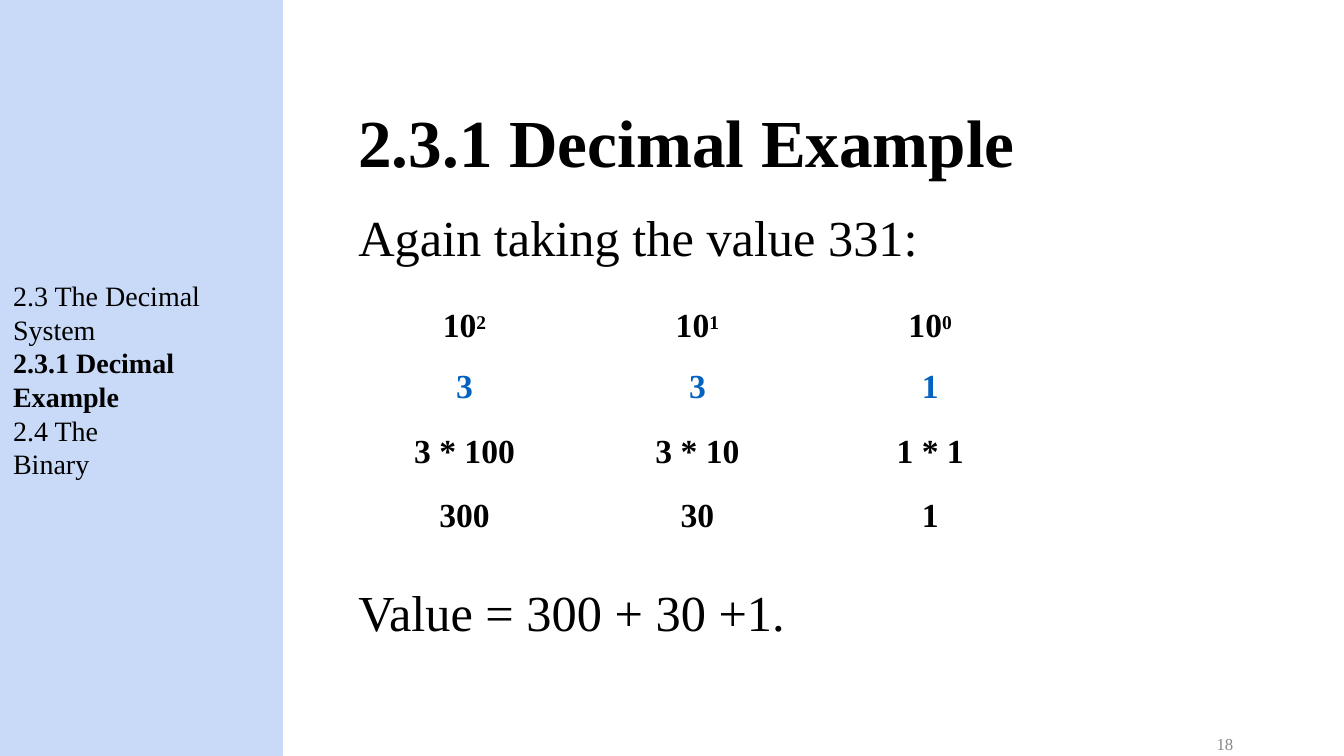
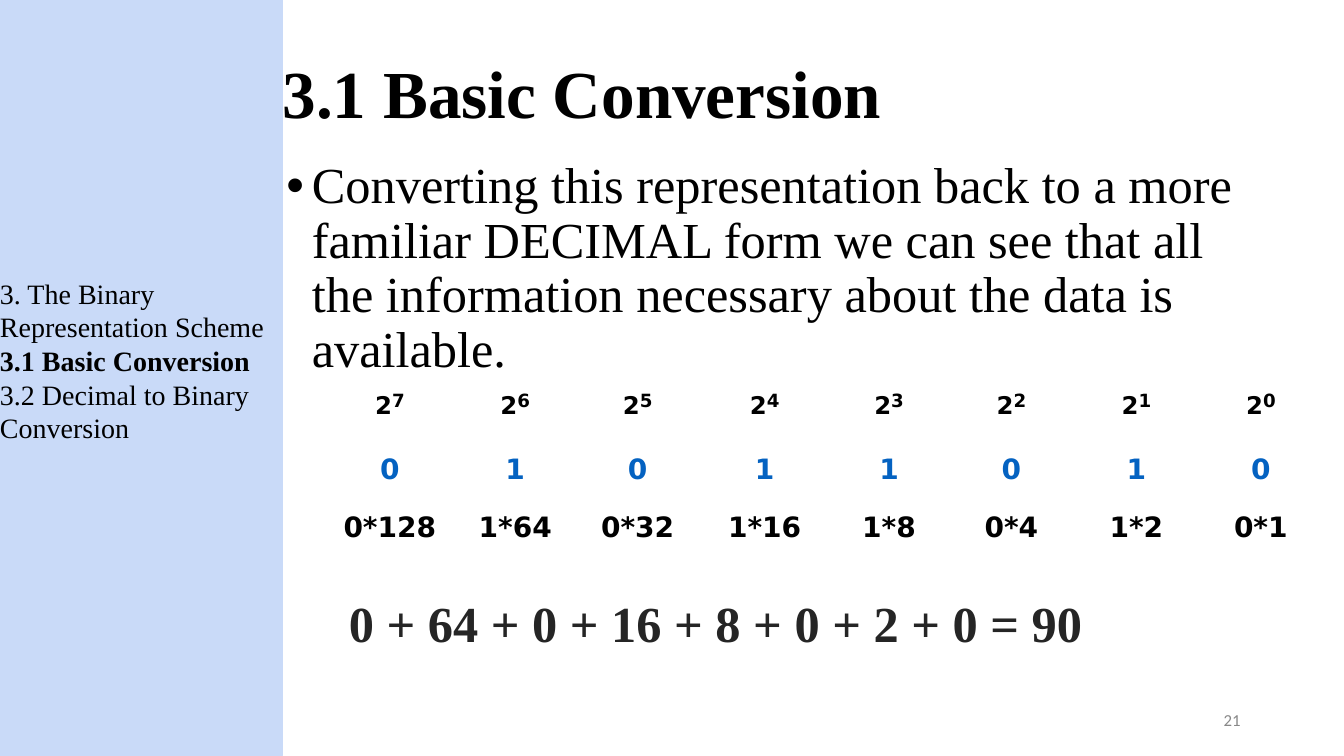
from dataclasses import dataclass

import pptx
import pptx.dml.color
import pptx.enum.shapes
import pptx.enum.text
import pptx.oxml
import pptx.oxml.ns
import pptx.util

Cm = pptx.util.Cm
Pt = pptx.util.Pt
ALIGN = pptx.enum.text.PP_ALIGN


# Theme: every colour, font and type size
@dataclass(frozen=True)
class Theme:
    band: str = "C9DAF8"
    ink: str = "000000"
    soft_ink: str = "252525"
    digit: str = "0462C1"
    number: str = "888888"
    serif: str = "Times New Roman"
    sans: str = "DejaVu Sans"
    number_font: str = "Calibri"
    title_size: int = 48
    body_size: int = 36
    outline_size: int = 20
    number_size: int = 12


THEME = Theme()


@dataclass(frozen=True)
class Box:
    left: float
    top: float
    width: float
    height: float

    def lengths(self) -> tuple:
        return Cm(self.left), Cm(self.top), Cm(self.width), Cm(self.height)


@dataclass(frozen=True)
class Entry:
    text: str
    current: bool = False


@dataclass(frozen=True)
class Column:
    width: float
    left_inset: float = 0
    right_inset: float = 0


@dataclass(frozen=True)
class PowerStyle:
    """How a base and its exponent are set in the first row of a table."""
    base_size: int
    base_shift: int
    power_size: int
    power_shift: int
    line: float


@dataclass(frozen=True)
class PlaceTable:
    box: Box
    columns: tuple
    row_heights: tuple
    top_inset: float
    font: str
    size: int
    powers: PowerStyle
    rows: tuple


# Text helpers
def add_span(para, text: str, *, size: int, font: str = THEME.serif,
             color: str = THEME.ink, bold: bool = False, shift: int = 0) -> None:
    span = para.add_run()
    span.text = text
    span.font.name = font
    span.font.size = Pt(size)
    span.font.bold = bold
    span.font.color.rgb = pptx.dml.color.RGBColor.from_string(color)
    if shift:
        span.font._element.set("baseline", str(shift * 1000))


def prepare_frame(shape, top_inset: float = 0.03, left_inset: float = 0.03):
    frame = shape.text_frame
    frame.word_wrap = True
    frame.auto_size = pptx.enum.text.MSO_AUTO_SIZE.NONE
    frame.vertical_anchor = pptx.enum.text.MSO_ANCHOR.TOP
    frame.margin_left, frame.margin_top = Cm(left_inset), Cm(top_inset)
    frame.margin_right = frame.margin_bottom = 0
    return frame


def set_bullet(para, char: str = "", indent: float = 0, hang: float = 0) -> None:
    properties = para._p.get_or_add_pPr()
    properties.set("marL", str(Cm(indent)))
    properties.set("indent", str(-Cm(hang)))
    tag = "a:buChar" if char else "a:buNone"
    bullet = pptx.oxml.parse_xml(f"<{tag} {pptx.oxml.ns.nsdecls('a')}/>")
    if char:
        bullet.set("char", char)
    properties.append(bullet)


def place(shape, box: Box) -> None:
    shape.left, shape.top, shape.width, shape.height = box.lengths()


def add_line(page, text: str, box: Box, **style) -> None:
    frame = prepare_frame(page.shapes.add_textbox(*box.lengths()))
    add_span(frame.paragraphs[0], text, **style)


def set_title(page, text: str, box: Box) -> None:
    place(page.shapes.title, box)
    para = prepare_frame(page.shapes.title).paragraphs[0]
    para.alignment = ALIGN.LEFT
    add_span(para, text, size=THEME.title_size, bold=True)


def set_body(page, text: str, box: Box, bulleted: bool = False) -> None:
    body = page.placeholders[1]
    place(body, box)
    para = prepare_frame(body, 0.18 if bulleted else 0.03).paragraphs[0]
    para.space_before = Pt(0)
    if bulleted:
        para.line_spacing = 0.9
        set_bullet(para, "•", 0.64, 0.64)
    else:
        set_bullet(para)
    add_span(para, text, size=THEME.body_size)


def add_outline(page, entries: tuple, box: Box) -> None:
    frame = prepare_frame(page.shapes.add_textbox(*box.lengths()), left_inset=0)
    for index, entry in enumerate(entries):
        para = frame.add_paragraph() if index else frame.paragraphs[0]
        para.line_spacing = Pt(24)
        for number, line in enumerate(entry.text.split("\n")):
            if number:
                para.add_line_break()
            add_span(para, line, size=THEME.outline_size, bold=entry.current)


def add_number(page, text: str, box: Box, font: str) -> None:
    add_line(page, text, box, size=THEME.number_size, font=font,
             color=THEME.number)


# Place-value table: powers, digits, then the working
def add_place_table(page, place_table: PlaceTable) -> None:
    rows, columns = place_table.rows, place_table.columns
    table = page.shapes.add_table(len(rows), len(columns),
                                  *place_table.box.lengths()).table
    table.first_row = table.horz_banding = False
    for index, height in enumerate(place_table.row_heights):
        table.rows[index].height = Cm(height)
    for index, column in enumerate(columns):
        table.columns[index].width = Cm(column.width)

    powers = place_table.powers
    for row_index, row in enumerate(rows):
        for column_index, text in enumerate(row):
            column = columns[column_index]
            cell = table.cell(row_index, column_index)
            cell.fill.background()
            cell.margin_left = Cm(column.left_inset)
            cell.margin_right = Cm(column.right_inset)
            cell.margin_top = Cm(place_table.top_inset if row_index else 0)
            cell.margin_bottom = 0
            para = cell.text_frame.paragraphs[0]
            para.alignment = ALIGN.CENTER
            if row_index == 0:
                para.line_spacing = Pt(powers.line)
                base, power = text.split("^")
                add_span(para, base, size=powers.base_size, bold=True,
                         font=place_table.font, shift=powers.base_shift)
                add_span(para, power, size=powers.power_size, bold=True,
                         font=place_table.font, shift=powers.power_shift)
            else:
                add_span(para, text, size=place_table.size, bold=True,
                         font=place_table.font,
                         color=THEME.digit if row_index == 1 else THEME.ink)


# Side band, drawn once and kept on the layout
def add_layout_band(page, layout, height: int) -> None:
    band = page.shapes.add_shape(pptx.enum.shapes.MSO_SHAPE.RECTANGLE,
                                 0, 0, Cm(7.11), height)
    color = pptx.dml.color.RGBColor.from_string(THEME.band)
    band.shadow.inherit = False
    band.fill.solid()
    band.fill.fore_color.rgb = color
    band.line.color.rgb = color
    band.line.width = Pt(0.75)
    layout.shapes._spTree.insert(2, band._element)


# Slide content
DECIMAL_TABLE = PlaceTable(
    box=Box(10.08, 7.77, 14.55, 5.8),
    columns=(Column(4.67, right_inset=1.42), Column(5.87, right_inset=0.22),
             Column(4.01, left_inset=1.63)),
    row_heights=(1.27, 1.63, 1.63, 1.27),
    top_inset=0.25, font=THEME.serif, size=24,
    powers=PowerStyle(24, 0, 24, 24, 26.2),
    rows=(("10^2", "10^1", "10^0"),
          ("3", "3", "1"),
          ("3 * 100", "3 * 10", "1 * 1"),
          ("300", "30", "1")),
)

BITS = "01011010"
BIT_POWERS = range(len(BITS) - 1, -1, -1)
BINARY_TABLE = PlaceTable(
    box=Box(8.2, 9.76, 24.71, 4.01),
    columns=(Column(3.3, right_inset=0.05),
             *(Column(width, right_inset=0.05)
               for width in (3.02, 3.15, 3.25, 3.02, 3.15, 3.15)),
             Column(2.67, left_inset=0.4)),
    row_heights=(1.37, 1.47, 1.17),
    top_inset=0.3, font=THEME.sans, size=20,
    powers=PowerStyle(30, -17, 13, 0, 23.8),
    rows=(tuple(f"2^{power}" for power in BIT_POWERS),
          tuple(BITS),
          tuple(f"{bit}*{2 ** power}" for bit, power in zip(BITS, BIT_POWERS))),
)


def build_decimal_page(page) -> None:
    set_title(page, "2.3.1 Decimal Example", Box(9, 2.49, 17.2, 2.11))
    set_body(page, "Again taking the value 331:", Box(9, 5.16, 14.6, 1.6))
    add_place_table(page, DECIMAL_TABLE)
    add_line(page, "Value = 300 + 30 +1.", Box(9, 14.61, 11.4, 1.6),
             size=THEME.body_size)
    add_outline(page, (Entry("2.3 The Decimal System"),
                       Entry("2.3.1 Decimal Example", current=True),
                       Entry("2.4 The\nBinary")), Box(0.33, 6.99, 4.9, 5.2))
    add_number(page, "18", Box(30.63, 18.47, 0.6, 0.55), THEME.serif)


def build_binary_page(page) -> None:
    set_title(page, "3.1 Basic Conversion", Box(7.09, 1.27, 15.6, 2.11))
    set_body(page, "Converting this representation back to a more familiar "
                   "DECIMAL form we can see that all the information necessary "
                   "about the data is available.",
             Box(7.19, 3.86, 23.93, 5.72), bulleted=True)
    add_place_table(page, BINARY_TABLE)
    add_line(page, "0 + 64 + 0 + 16 + 8 + 0 + 2 + 0 = 90",
             Box(8.76, 14.88, 19, 1.6), size=THEME.body_size,
             color=THEME.soft_ink, bold=True)
    add_outline(page, (Entry("3. The Binary Representation Scheme"),
                       Entry("3.1 Basic Conversion", current=True),
                       Entry("3.2 Decimal to Binary Conversion")),
                Box(0, 6.93, 6.8, 4.32))
    add_number(page, "21", Box(30.81, 17.86, 0.6, 0.5), THEME.number_font)


def main() -> None:
    deck = pptx.Presentation()
    deck.slide_width, deck.slide_height = Cm(33.87), Cm(19.05)
    layout = deck.slide_layouts[1]
    pages = [deck.slides.add_slide(layout) for _ in range(2)]
    add_layout_band(pages[0], layout, deck.slide_height)
    build_decimal_page(pages[0])
    build_binary_page(pages[1])
    deck.save("out.pptx")


if __name__ == "__main__":
    main()
